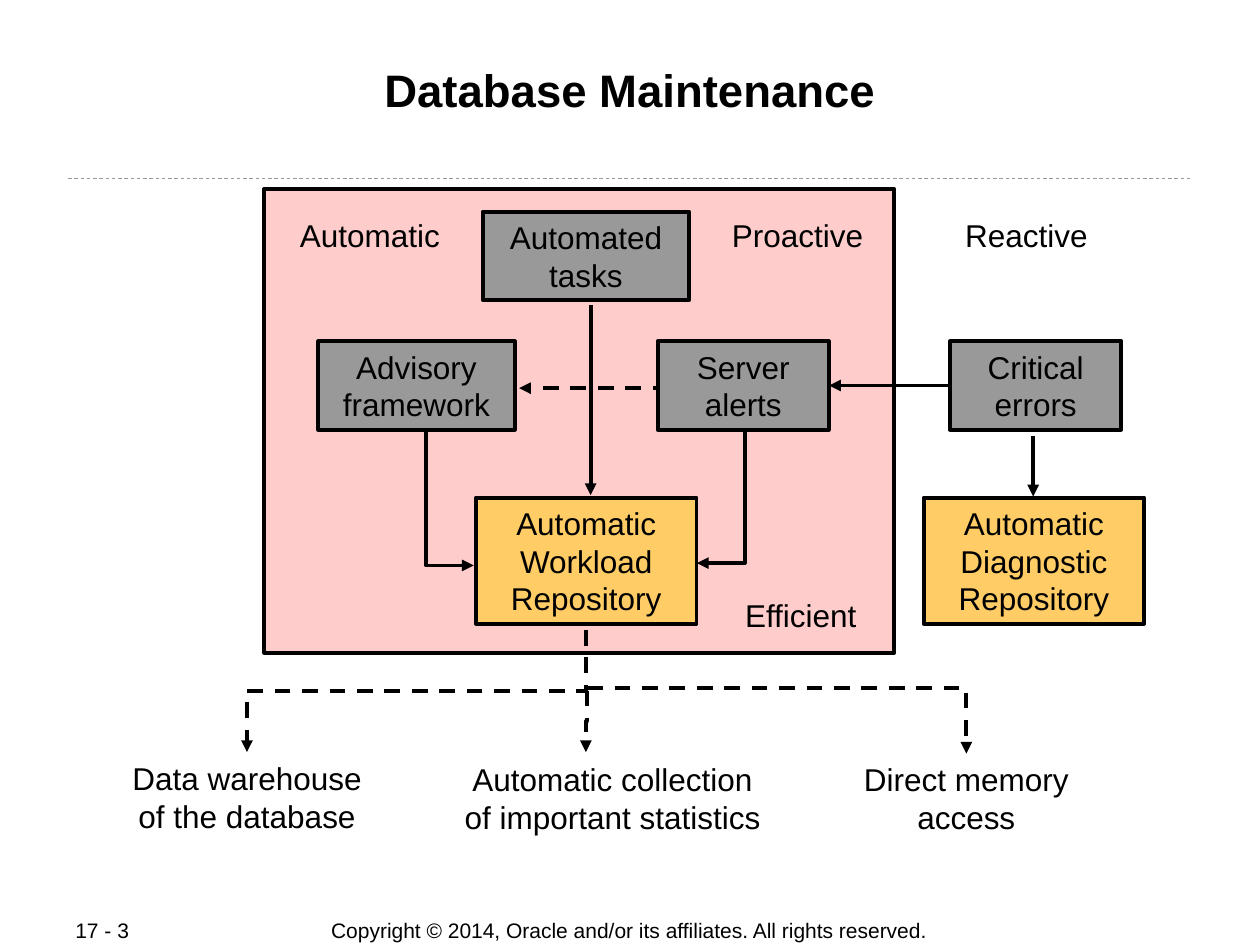
from typing import NamedTuple

from lxml import etree
from pptx import Presentation
from pptx.dml.color import RGBColor
from pptx.enum.dml import MSO_LINE
from pptx.enum.shapes import MSO_CONNECTOR, MSO_SHAPE
from pptx.enum.text import MSO_ANCHOR, PP_ALIGN
from pptx.oxml.ns import qn
from pptx.util import Pt

BLACK = RGBColor(0x00, 0x00, 0x00)
WHITE = RGBColor(0xFF, 0xFF, 0xFF)
GRAY = RGBColor(0x99, 0x99, 0x99)
PINK = RGBColor(0xFF, 0xCC, 0xCC)
GOLD = RGBColor(0xFF, 0xCC, 0x66)

DASH = MSO_LINE.DASH
RECT = MSO_SHAPE.RECTANGLE
LINE = MSO_CONNECTOR.STRAIGHT
ELBOW = MSO_CONNECTOR.ELBOW
LEFT, CENTER = PP_ALIGN.LEFT, PP_ALIGN.CENTER
TOP, MIDDLE = MSO_ANCHOR.TOP, MSO_ANCHOR.MIDDLE

FONT = "Arial"
WIDTH = 2.25
ROW = 195.1    # top of the middle row of boxes
STORE = 284.4  # top of the repositories
HEAD = 119.8   # top of the headings


class Box(NamedTuple):
    text: str
    x: float
    y: float
    w: float
    h: float
    fill: RGBColor


class Label(NamedTuple):
    text: str
    x: float
    y: float
    w: float
    h: float
    size: float = 18
    bold: bool = False
    align: PP_ALIGN = CENTER
    anchor: MSO_ANCHOR = TOP


class Arrow(NamedTuple):
    x1: float
    y1: float
    x2: float
    y2: float
    dash: bool = False


BOXES = [
    Box("Automatic\nWorkload Repository", 272, STORE, 126, 72, GOLD),
    Box("Automatic\nDiagnostic Repository", 527.8, STORE, 126, 72, GOLD),
    Box("Automated\ntasks", 275.8, 121, 118.1, 50.4, GRAY),
    Box("Advisory\nframework", 181.8, ROW, 112.3, 50.4, GRAY),
    Box("Server alerts", 375.8, ROW, 97.9, 50.4, GRAY),
    Box("Critical errors", 542.9, ROW, 97.9, 50.4, GRAY),
]
LABELS = [
    Label("Database Maintenance", 48, 31.7, 624, 69, 26, True),
    Label("Automatic", 159.1, HEAD, 104.4, 28.8),
    Label("Proactive", 405.8, HEAD, 100, 28.8),
    Label("Reactive", 536.6, HEAD, 100, 28.8),
    Label("Efficient", 407.6, 337, 100, 28.8),
    Label("Data warehouse\nof the database", 61.2, 430.2, 160, 50.4),
    Label("Automatic collection\nof important statistics", 240, 430.6, 220, 50.4),
    Label("Direct memory\naccess", 472.2, 430.6, 160, 50.4),
    Label("Copyright © 2014, Oracle and/or its affiliates. All rights reserved.",
          159.6, 524.2, 400, 15.1, 12, anchor=MIDDLE),
    Label("17 - 3", 36, 524.2, 76.3, 14.4, 12, align=LEFT, anchor=MIDDLE),
]
ARROWS = [
    Arrow(413.3, 221.8, 296.6, 221.8, True),
    Arrow(337.5, 174.2, 337.5, 283),
    Arrow(590.4, 249.1, 590.4, 283.7),
    Arrow(542.2, 220.3, 473.8, 220.3),
]
BENDS = [
    [(243.4, 247), (243.4, 323.1), (270.7, 323.1)],
    [(425.5, 246.2), (425.5, 321.8), (398.2, 321.8)],
]
DROPS = [
    Arrow(334.8, 360, 141.1, 429.8, True),
    Arrow(335.5, 394.6, 334.8, 429.8, True),
]
SIDE = Arrow(335.5, 393.1, 552.2, 430.6, True)


def write(frame, text: str, size: float, bold: bool, align: PP_ALIGN) -> None:
    para = frame.paragraphs[0]
    para.text = text
    para.alignment = align
    font = para.font
    font.name, font.size, font.bold = FONT, Pt(size), bold
    font.color.rgb = BLACK


def ink(line, dash: bool = False) -> None:
    """Style a line and give its end an arrowhead."""
    line.color.rgb = BLACK
    line.width = Pt(WIDTH)
    if dash:
        line.dash_style = DASH
    etree.SubElement(line._get_or_add_ln(), qn("a:tailEnd"), type="triangle")


def flat(conn) -> None:
    """Take away a connector's shadow."""
    etree.SubElement(conn._element.spPr, qn("a:effectLst"))


def link(shapes, kind: MSO_CONNECTOR, a: Arrow):
    conn = shapes.add_connector(kind, Pt(a.x1), Pt(a.y1), Pt(a.x2), Pt(a.y2))
    ink(conn.line, a.dash)
    flat(conn)
    return conn


def drop(shapes, a: Arrow) -> None:
    """Draw an elbow that leaves downward, as a level one turned by 90 degrees."""
    cx, cy = (a.x1 + a.x2) / 2, (a.y1 + a.y2) / 2
    dx, dy = (a.x1 - a.x2) / 2, (a.y2 - a.y1) / 2
    level = Arrow(cx - dy, cy - dx, cx + dy, cy + dx, a.dash)
    conn = link(shapes, ELBOW, level)
    conn._element.spPr.find(qn("a:xfrm")).set("rot", "5400000")


def side(shapes, a: Arrow) -> None:
    """Draw an elbow with one corner: across, then down."""
    conn = link(shapes, ELBOW, a)
    conn._element.spPr.find(qn("a:prstGeom")).set("prst", "bentConnector2")


def bend(shapes, points: list) -> None:
    first, *rest = [(Pt(x), Pt(y)) for x, y in points]
    path = shapes.build_freeform(*first)
    path.add_line_segments(rest, close=False)
    shape = path.convert_to_shape()
    shape.shadow.inherit = False
    shape.fill.background()
    ink(shape.line)


def block(shapes, b: Box) -> None:
    shape = shapes.add_shape(RECT, Pt(b.x), Pt(b.y), Pt(b.w), Pt(b.h))
    shape.shadow.inherit = False
    shape.fill.solid()
    shape.fill.fore_color.rgb = b.fill
    shape.line.color.rgb = BLACK
    shape.line.width = Pt(WIDTH)
    if b.text:
        shape.text_frame.vertical_anchor = TOP
        write(shape.text_frame, b.text, 18, False, CENTER)


def label(shapes, l: Label) -> None:
    frame = shapes.add_textbox(Pt(l.x), Pt(l.y), Pt(l.w), Pt(l.h)).text_frame
    frame.word_wrap = True
    frame.vertical_anchor = l.anchor
    write(frame, l.text, l.size, l.bold, l.align)


def main() -> None:
    deck = Presentation()
    deck.slide_width, deck.slide_height = Pt(720), Pt(540)
    slide = deck.slides.add_slide(deck.slide_layouts[6])
    slide.background.fill.solid()
    slide.background.fill.fore_color.rgb = WHITE
    shapes = slide.shapes

    rule = shapes.add_connector(LINE, Pt(38.9), Pt(102.2), Pt(681.1), Pt(102.2))
    rule.line.color.rgb = GRAY
    rule.line.width = Pt(0.5)
    rule.line.dash_style = DASH
    flat(rule)

    block(shapes, Box("", 151, 108, 360, 265, PINK))
    for a in ARROWS:
        link(shapes, LINE, a)
    for points in BENDS:
        bend(shapes, points)
    for a in DROPS:
        drop(shapes, a)
    side(shapes, SIDE)
    for b in BOXES:
        block(shapes, b)
    for l in LABELS:
        label(shapes, l)
    deck.save("out.pptx")


if __name__ == "__main__":
    main()
